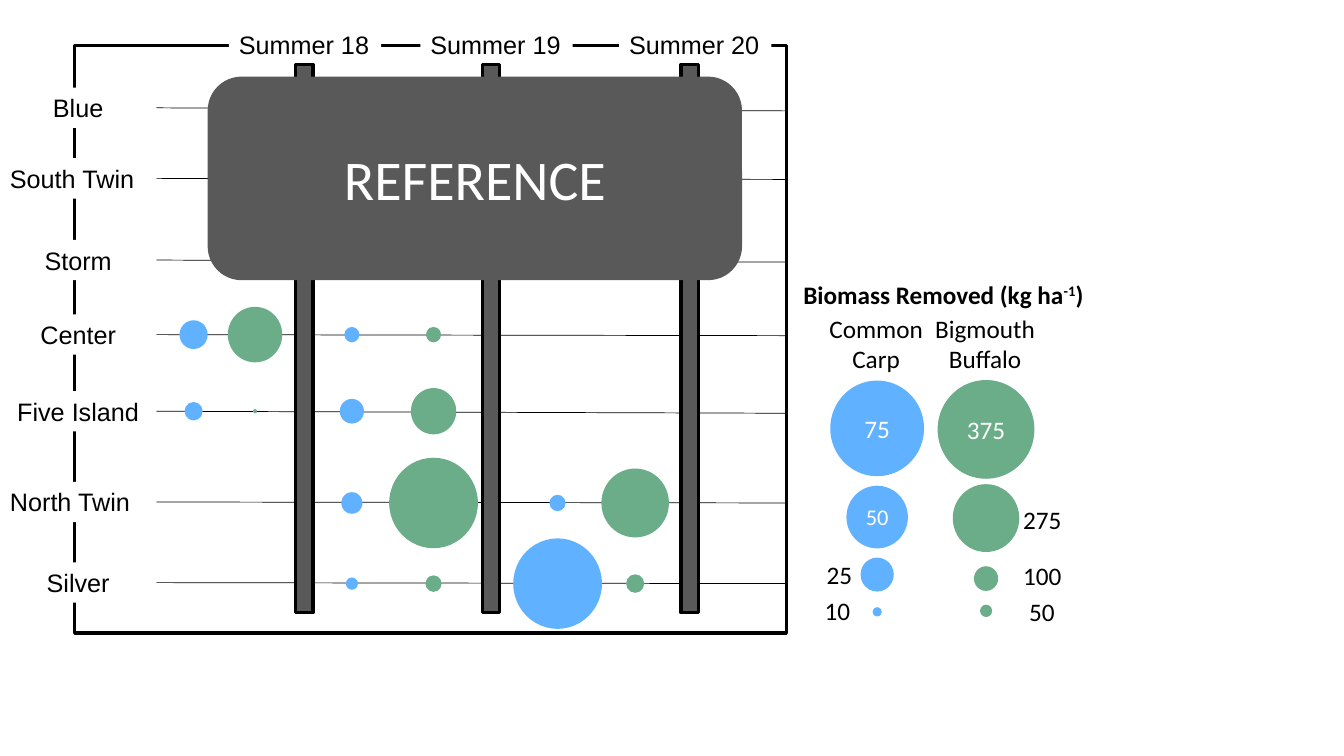
import pptx
import pptx.util
import pptx.dml.color
import pptx.enum.shapes
import pptx.enum.text
import pptx.oxml

SHAPES = pptx.enum.shapes.MSO_SHAPE
ALIGN = pptx.enum.text.PP_ALIGN
ANCHOR = pptx.enum.text.MSO_ANCHOR
inch = pptx.util.Inches

BLACK, WHITE, GRAY = "000000", "FFFFFF", "595959"
CARP, BUFFALO = "60B1FF", "6BAD88"

LAKES = [
    ("Blue", 1.07, 1.10, ALIGN.CENTER),
    ("South Twin", 1.77, 1.78, ALIGN.LEFT),
    ("Storm", 2.58, 2.60, ALIGN.CENTER),
    ("Center", 3.32, 3.33, ALIGN.CENTER),
    ("Five Island", 4.08, 4.10, ALIGN.CENTER),
    ("North Twin", 4.98, 4.99, ALIGN.LEFT),
    ("Silver", 5.78, 5.79, ALIGN.CENTER),
]
SUMMERS = [("Summer 18", 2.27, 3.02), ("Summer 19", 4.17, 4.87), ("Summer 20", 6.14, 6.84)]
PERIODS = [{CARP: 1.92, BUFFALO: 2.53}, {CARP: 3.49, BUFFALO: 4.30}, {CARP: 5.53, BUFFALO: 6.30}]
REMOVALS = {
    3.32: [(0, CARP, 0.28), (0, BUFFALO, 0.54), (1, CARP, 0.15), (1, BUFFALO, 0.15)],
    4.08: [(0, CARP, 0.18), (0, BUFFALO, 0.04), (1, CARP, 0.24), (1, BUFFALO, 0.45)],
    4.99: [(1, CARP, 0.21), (1, BUFFALO, 0.88), (2, CARP, 0.16), (2, BUFFALO, 0.67)],
    5.79: [(1, CARP, 0.12), (1, BUFFALO, 0.16), (2, CARP, 0.88), (2, BUFFALO, 0.18)],
}
LEGEND_COLUMNS = [
    ("Common Carp", CARP, 8.70, 8.06, [
        ("75", 0.93, 4.25, 18, None), ("50", 0.61, 5.13, 16, None),
        ("25", 0.33, 5.70, 18, (8.10, 5.70)), ("10", 0.09, 6.07, 18, (8.08, 6.06))]),
    ("Bigmouth Buffalo", BUFFALO, 9.78, 9.14, [
        ("375", 0.96, 4.26, 18, None), ("275", 0.66, 5.14, 18, (10.05, 5.15)),
        ("100", 0.24, 5.74, 18, (10.05, 5.71)), ("50", 0.12, 6.06, 18, (10.11, 6.07))]),
]
LEGEND_TITLE = [("Biomass Removed (kg ha", None), ("-1", "30000"), (")", None)]

LABEL_HEIGHT, LABEL_WIDTH = 0.4, 1.55
FRAME_LEFT, FRAME_TOP, FRAME_WIDTH, FRAME_HEIGHT = 0.74, 0.45, 7.06, 5.83
BAR_TOP, BAR_WIDTH, BAR_HEIGHT = 0.64, 0.17, 5.44
BUBBLE_ASPECT = 1.02


def rgb(color):
    return pptx.dml.color.RGBColor.from_string(color)


def write(box, spans, size=18, font="Calibri", color=BLACK, align=ALIGN.LEFT,
          bold=False, frame_format=None):
    frame = box.text_frame
    settings = {"word_wrap": True, "vertical_anchor": ANCHOR.TOP, **(frame_format or {})}
    for name, value in settings.items():
        setattr(frame, name, value)
    para = frame.paragraphs[0]
    para.alignment = align
    for text, baseline in spans:
        span = para.add_run()
        span.text = text
        for name, value in {"name": font, "size": pptx.util.Pt(size), "bold": bold}.items():
            setattr(span.font, name, value)
        span.font.color.rgb = rgb(color)
        if baseline:
            span._r.get_or_add_rPr().set("baseline", baseline)


def add_shape(page, kind, left, top, width, height, fill=None, outline=None):
    shape = page.shapes.add_shape(kind, *map(inch, (left, top, width, height)))
    shape.shadow.inherit = False
    if fill:
        shape.fill.solid()
        shape.fill.fore_color.rgb = rgb(fill)
    else:
        shape.fill.background()
    if outline:
        shape.line.color.rgb = rgb(outline)
        shape.line.width = pptx.util.Pt(2.25)
    else:
        shape.line.fill.background()
    return shape


def add_text(page, left, top, width, height, spans, **style):
    box = page.shapes.add_textbox(*map(inch, (left, top, width, height)))
    write(box, spans, **style)


def add_bubble(page, center_x, center_y, width, color):
    height = width * BUBBLE_ASPECT
    return add_shape(page, SHAPES.OVAL, center_x - width / 2, center_y - height / 2,
                     width, height, color)


def add_lake_line(page, start_y, end_y):
    ends = (LABEL_WIDTH, start_y, FRAME_LEFT + FRAME_WIDTH, end_y)
    line = page.shapes.add_connector(pptx.enum.shapes.MSO_CONNECTOR.STRAIGHT, *map(inch, ends))
    line.line.color.rgb = rgb(BLACK)
    line.line.width = pptx.util.Pt(0.5)
    line._element.spPr.append(pptx.oxml.parse_xml(
        '<a:effectLst xmlns:a="http://schemas.openxmlformats.org/drawingml/2006/main"/>'))


def add_label(page, text, left, center_y, width, align):
    label = add_shape(page, SHAPES.RECTANGLE, left, center_y - LABEL_HEIGHT / 2,
                      width, LABEL_HEIGHT, WHITE)
    write(label, [(text, None)], font="Arial", align=align)


def draw_chart(page):
    for name, start_y, end_y, align in LAKES:
        add_lake_line(page, start_y, end_y)
    add_shape(page, SHAPES.RECTANGLE, FRAME_LEFT, FRAME_TOP, FRAME_WIDTH, FRAME_HEIGHT,
              outline=BLACK)
    for name, start_y, end_y, align in LAKES:
        add_label(page, name, 0, start_y, LABEL_WIDTH, align)
    for name, label_left, bar_center in SUMMERS:
        add_label(page, name, label_left, 0.44, 1.51, ALIGN.LEFT)
        add_shape(page, SHAPES.RECTANGLE, bar_center - BAR_WIDTH / 2, BAR_TOP,
                  BAR_WIDTH, BAR_HEIGHT, GRAY, BLACK)
    for center_y, bubbles in REMOVALS.items():
        for period, species, width in bubbles:
            add_bubble(page, PERIODS[period][species], center_y, width, species)
    reference = add_shape(page, SHAPES.ROUNDED_RECTANGLE, 2.06, 0.76, 5.3, 2.02, GRAY)
    write(reference, [("REFERENCE", None)], size=40, color=WHITE, align=ALIGN.CENTER,
          frame_format={"vertical_anchor": ANCHOR.MIDDLE})


def draw_legend(page):
    inside = {"vertical_anchor": ANCHOR.MIDDLE, "margin_left": 0, "margin_right": 0}
    for heading, color, center_x, heading_left, entries in LEGEND_COLUMNS:
        add_text(page, heading_left, 3.06, 1.26, 0.71, [(heading, None)], align=ALIGN.CENTER)
        for value, width, center_y, size, label_place in entries:
            bubble = add_bubble(page, center_x, center_y, width, color)
            if label_place:
                left, label_y = label_place
                add_text(page, left, label_y - LABEL_HEIGHT / 2, 0.66, LABEL_HEIGHT,
                         [(value, None)])
            else:
                write(bubble, [(value, None)], size=size, color=WHITE, align=ALIGN.CENTER,
                      frame_format=inside)
    add_text(page, 7.87, 2.72, 3.04, LABEL_HEIGHT, LEGEND_TITLE, bold=True)


def main():
    deck = pptx.Presentation()
    deck.slide_width, deck.slide_height = inch(13.33), inch(7.5)
    page = deck.slides.add_slide(deck.slide_layouts[6])
    draw_chart(page)
    draw_legend(page)
    deck.save("out.pptx")


if __name__ == "__main__":
    main()
